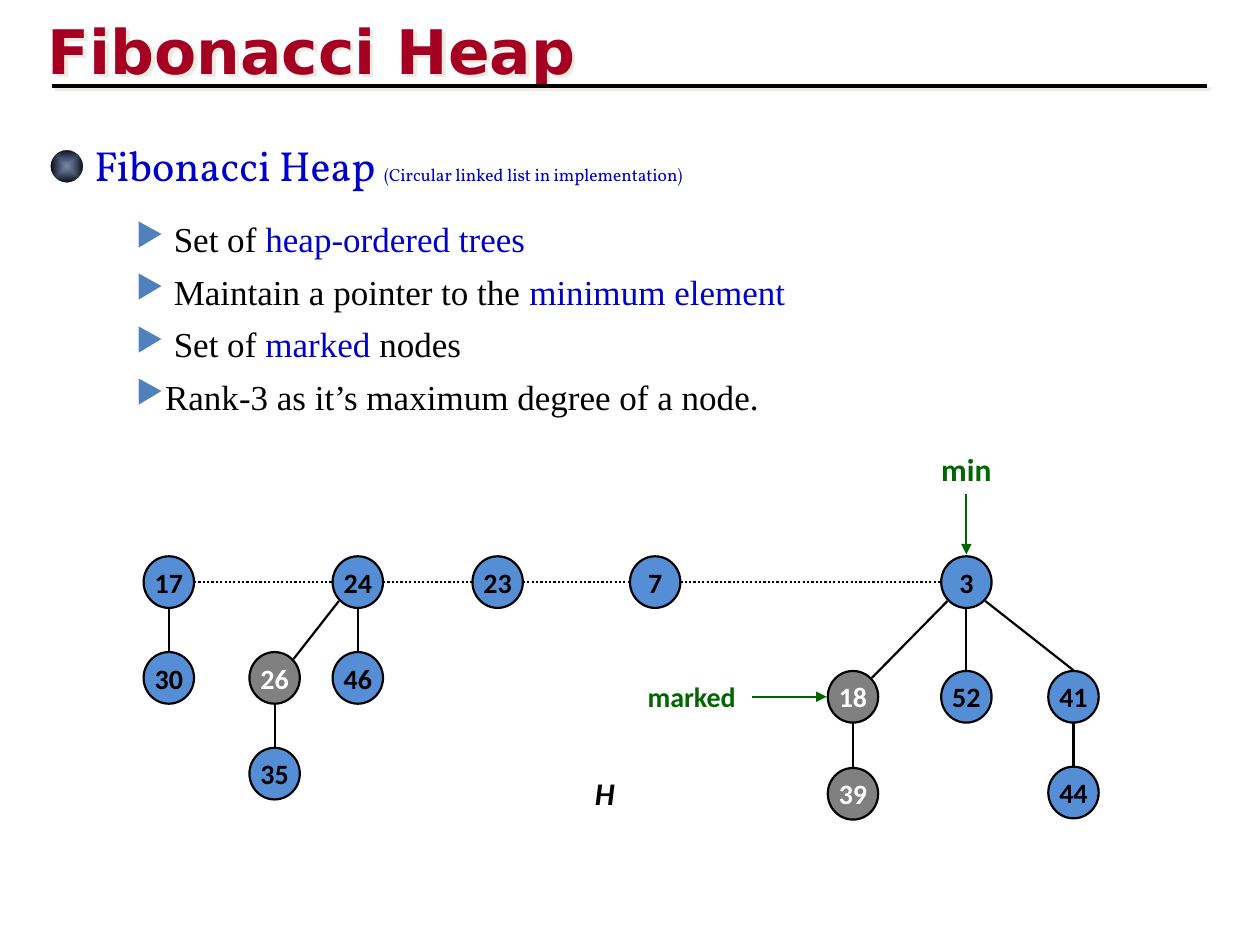
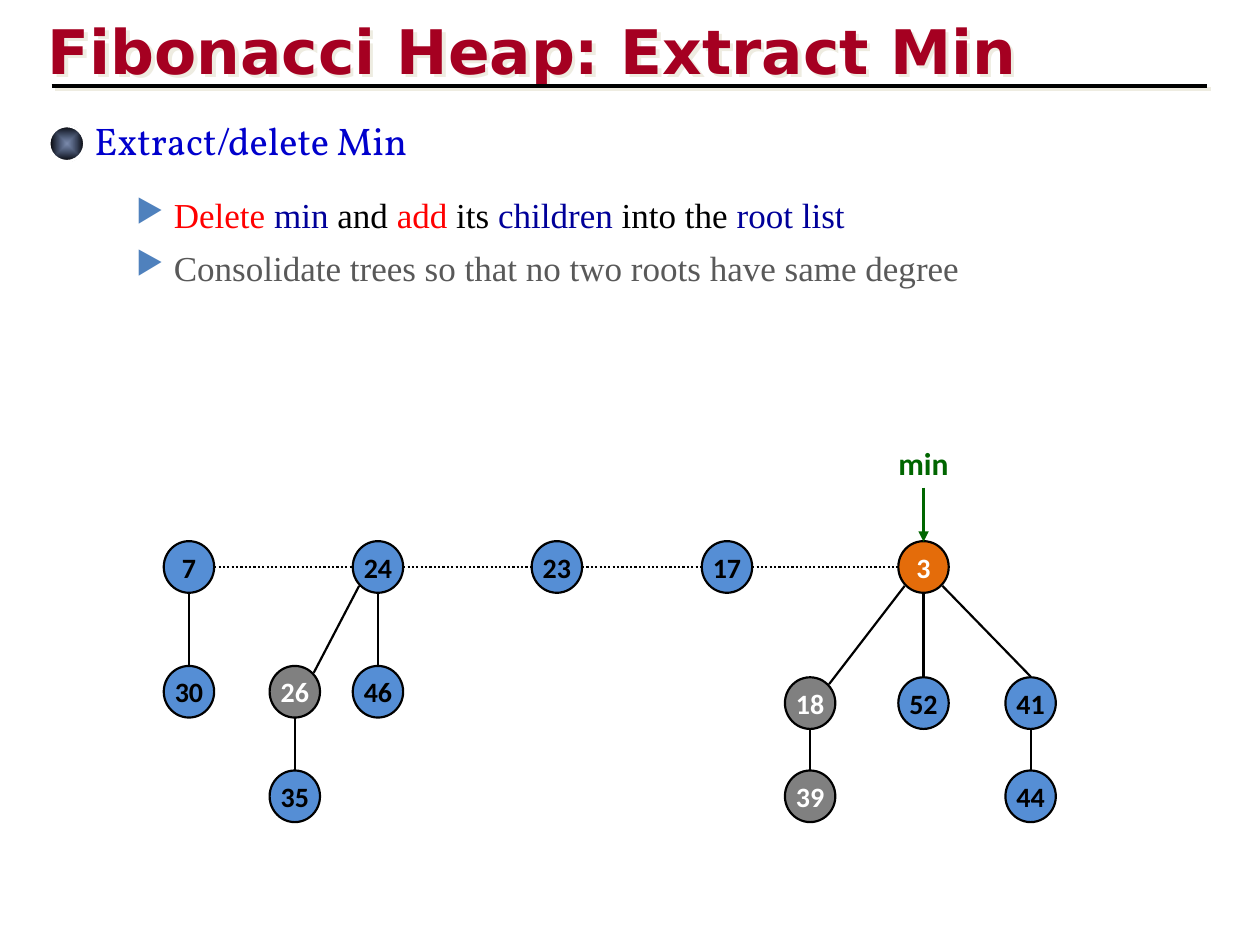
"""Build two slides that explain the Fibonacci heap and its extract-min step."""
from lxml import etree
from pptx import Presentation
from pptx.dml.color import RGBColor
from pptx.enum.dml import MSO_LINE
from pptx.enum.shapes import MSO_CONNECTOR, MSO_SHAPE
from pptx.enum.text import MSO_ANCHOR, MSO_AUTO_SIZE, PP_ALIGN
from pptx.oxml import parse_xml
from pptx.oxml.ns import nsdecls, qn
from pptx.util import Inches, Pt

ELLIPSE = MSO_SHAPE.OVAL
STRAIGHT = MSO_CONNECTOR.STRAIGHT
DOTTED = MSO_LINE.ROUND_DOT
TOP, MIDDLE = MSO_ANCHOR.TOP, MSO_ANCHOR.MIDDLE
LEFT, CENTER = PP_ALIGN.LEFT, PP_ALIGN.CENTER
NO_FIT = MSO_AUTO_SIZE.NONE

BLACK = RGBColor(0x00, 0x00, 0x00)
WHITE = RGBColor(0xFF, 0xFF, 0xFF)
CRIMSON = RGBColor(0xA5, 0x00, 0x21)
BLUE = RGBColor(0x00, 0x00, 0xCC)
NAVY = RGBColor(0x00, 0x00, 0x99)
RED = RGBColor(0xFF, 0x00, 0x00)
GREEN = RGBColor(0x00, 0x66, 0x00)
DIM = RGBColor(0x59, 0x59, 0x59)
NODE_BLUE = RGBColor(0x55, 0x8E, 0xD5)
MARKED_GRAY = RGBColor(0x80, 0x80, 0x80)
MIN_ORANGE = RGBColor(0xE4, 0x6C, 0x0A)
BULLET_COLOR = RGBColor(0x4F, 0x81, 0xBD)
SHADOW_COLOR = RGBColor(0xEE, 0xEC, 0xE1)

NODE_WIDTH, NODE_HEIGHT = 0.4, 0.41
HALF_WIDTH, HALF_HEIGHT = 0.2, 0.21
DIAGONAL = 0.15

BALL_GRADIENT = f"""<a:gradFill {nsdecls('a')} rotWithShape="1"><a:gsLst>
<a:gs pos="0"><a:srgbClr val="002060"><a:alpha val="51000"/></a:srgbClr></a:gs>
<a:gs pos="100000"><a:srgbClr val="000000"/></a:gs></a:gsLst>
<a:path path="shape"><a:fillToRect l="50000" t="50000" r="50000" b="50000"/></a:path>
</a:gradFill>"""

SLIDES = [
    {
        "title": "Fibonacci Heap",
        "heading_top": 1.06,
        "heading_size": 24,
        "heading": [("Fibonacci Heap ", BLUE), ("(Circular linked list in implementation)", BLUE, 10)],
        "points_top": 1.68,
        "points": [
            [(" Set of ", BLACK), ("heap-ordered trees", BLUE)],
            [(" Maintain a pointer to the ", BLACK), ("minimum element", BLUE)],
            [(" Set of ", BLACK), ("marked", BLUE), (" nodes", BLACK)],
            [("Rank-3 as it’s maximum degree of a node.", BLACK)],
        ],
        "roots": ["17", "24", "23", "7", "3"],
        "nodes": {
            "17": (1.34, 4.62), "24": (2.84, 4.62), "23": (3.95, 4.62),
            "7": (5.2, 4.62), "3": (7.67, 4.62),
            "30": (1.34, 5.38), "26": (2.18, 5.38), "46": (2.84, 5.38), "35": (2.18, 6.14),
            "18": (6.77, 5.53), "52": (7.67, 5.53), "41": (8.52, 5.53),
            "39": (6.77, 6.3), "44": (8.52, 6.29),
        },
        "parents": {"30": "17", "26": "24", "46": "24", "35": "26", "18": "3",
                    "52": "3", "41": "3", "39": "18", "44": "41"},
        "fills": {"26": MARKED_GRAY, "18": MARKED_GRAY, "39": MARKED_GRAY},
        "labels": [("min", 7.67, 3.72, 18, GREEN, False),
                   ("marked", 5.49, 5.53, 16, GREEN, False),
                   ("H", 4.8, 6.29, 18, BLACK, True)],
        "arrows": [((7.67, 3.92), (7.67, 4.4)), ((5.97, 5.53), (6.56, 5.53))],
    },
    {
        "title": "Fibonacci Heap: Extract Min",
        "heading_top": 0.88,
        "heading_size": 22,
        "heading": [("Extract/delete Min", BLUE)],
        "points_top": 1.49,
        "points": [
            [(" Delete ", RED), ("min", NAVY), (" and ", BLACK), ("add", RED), (" its ", BLACK),
             ("children", NAVY), (" into the ", BLACK), ("root list", NAVY)],
            [(" Consolidate trees so that no two roots have same degree", DIM)],
        ],
        "roots": ["7", "24", "23", "17", "3"],
        "nodes": {
            "7": (1.5, 4.5), "24": (3, 4.5), "23": (4.42, 4.5),
            "17": (5.77, 4.5), "3": (7.33, 4.5),
            "30": (1.5, 5.49), "26": (2.34, 5.49), "46": (3, 5.49), "35": (2.34, 6.32),
            "18": (6.43, 5.58), "52": (7.33, 5.58), "41": (8.18, 5.58),
            "39": (6.43, 6.32), "44": (8.18, 6.32),
        },
        "parents": {"30": "7", "26": "24", "46": "24", "35": "26", "18": "3",
                    "52": "3", "41": "3", "39": "18", "44": "41"},
        "fills": {"26": MARKED_GRAY, "18": MARKED_GRAY, "39": MARKED_GRAY, "3": MIN_ORANGE},
        "labels": [("min", 7.33, 3.67, 18, GREEN, False)],
        "arrows": [((7.33, 3.87), (7.33, 4.3))],
    },
]


def write_text(shape, paragraphs, font, size, bold=False, italic=False, align=LEFT,
               anchor=TOP, wrap=True, bullet=None):
    """Fill a shape with paragraphs of (text, colour[, size]) runs."""
    frame = shape.text_frame
    frame.auto_size = NO_FIT
    frame.word_wrap = wrap
    frame.vertical_anchor = anchor
    for index, runs in enumerate(paragraphs):
        paragraph = frame.paragraphs[0] if index == 0 else frame.add_paragraph()
        paragraph.alignment = align
        for text, color, *own_size in runs:
            run = paragraph.add_run()
            run.text = text
            run.font.name = font
            run.font.size = Pt(own_size[0] if own_size else size)
            run.font.bold = bold
            run.font.italic = italic
            run.font.color.rgb = color
        if bullet:
            paragraph.space_before = Pt(6)
            properties = paragraph._p.get_or_add_pPr()
            bullet_color = etree.SubElement(properties, qn("a:buClr"))
            etree.SubElement(bullet_color, qn("a:srgbClr"), val=str(BULLET_COLOR))
            etree.SubElement(properties, qn("a:buSzPct"), val="90000")
            etree.SubElement(properties, qn("a:buChar"), char=bullet)


def draw_line(slide, start, end, color=BLACK, width=1.25, dash=None, arrow=False):
    """Draw a straight connector between two points in inches."""
    line = slide.shapes.add_connector(STRAIGHT, *map(Inches, start + end))
    line.line.color.rgb = color
    line.line.width = Pt(width)
    if dash:
        line.line.dash_style = dash
    if arrow:
        etree.SubElement(line.line._get_or_add_ln(), qn("a:tailEnd"), type="triangle")
    etree.SubElement(line._element.spPr, qn("a:effectLst"))
    return line


presentation = Presentation()
presentation.slide_width = Inches(10)
presentation.slide_height = Inches(7.5)

for content in SLIDES:
    slide = presentation.slides.add_slide(presentation.slide_layouts[5])

    title = slide.shapes.title
    title.left, title.top = Inches(0.28), Inches(0.01)
    title.width, title.height = Inches(8.5), Inches(0.67)
    title.text_frame.margin_top = Inches(0.09)
    write_text(title, [[(content["title"], CRIMSON)]], "DejaVu Sans", 35.1, bold=True)
    title.shadow.inherit = False
    rule = draw_line(slide, (0.41, 0.68), (9.58, 0.68), width=2.25)
    for shadowed in (title, rule):
        effects = shadowed._element.spPr.find(qn("a:effectLst"))
        shadow = etree.SubElement(effects, qn("a:outerShdw"), dist=str(Pt(2.8)),
                                  dir="2700000", algn="ctr", rotWithShape="0")
        etree.SubElement(shadow, qn("a:srgbClr"), val=str(SHADOW_COLOR))

    heading_top = content["heading_top"]
    ball = slide.shapes.add_shape(ELLIPSE, Inches(0.39), Inches(heading_top + 0.12),
                                  Inches(0.28), Inches(0.28))
    ball.shadow.inherit = False
    ball.line.color.rgb = WHITE
    ball.line.width = Pt(1.5)
    ball.fill.background()
    ball_properties = ball._element.spPr
    ball_properties.replace(ball_properties.find(qn("a:noFill")), parse_xml(BALL_GRADIENT))
    heading = slide.shapes.add_textbox(Inches(0.65), Inches(heading_top), Inches(6.99), Inches(0.5))
    write_text(heading, [content["heading"]], "Vollkorn", content["heading_size"])

    points = slide.shapes.add_textbox(Inches(0.98), Inches(content["points_top"]), Inches(8.74),
                                      Inches(0.1 + 0.4 * len(content["points"])))
    write_text(points, content["points"], "Times New Roman", 20, bullet="▶")

    nodes = content["nodes"]
    for name, next_name in zip(content["roots"], content["roots"][1:]):
        (x, y), (next_x, next_y) = nodes[name], nodes[next_name]
        draw_line(slide, (x + HALF_WIDTH, y), (next_x - HALF_WIDTH, next_y), dash=DOTTED)

    for child, parent in content["parents"].items():
        (x, y), (parent_x, parent_y) = nodes[child], nodes[parent]
        start = (parent_x, parent_y + HALF_HEIGHT)
        end = (x, y - HALF_HEIGHT)
        if x < parent_x:
            start = (parent_x - DIAGONAL, parent_y + DIAGONAL)
            end = (x + DIAGONAL, y - DIAGONAL)
        elif x > parent_x:
            start = (parent_x + DIAGONAL, parent_y + DIAGONAL)
        draw_line(slide, start, end)

    for name, (x, y) in nodes.items():
        node = slide.shapes.add_shape(ELLIPSE, Inches(x - NODE_WIDTH / 2), Inches(y - NODE_HEIGHT / 2),
                                      Inches(NODE_WIDTH), Inches(NODE_HEIGHT))
        node.shadow.inherit = False
        node.fill.solid()
        node.fill.fore_color.rgb = content["fills"].get(name, NODE_BLUE)
        node.line.color.rgb = BLACK
        node.line.width = Pt(1.25)
        color = WHITE if name in content["fills"] else BLACK
        write_text(node, [[(name, color)]], "Calibri", 16, bold=True, align=CENTER,
                   anchor=MIDDLE, wrap=False)

    for text, x, y, size, color, italic in content["labels"]:
        label = slide.shapes.add_textbox(Inches(x - NODE_WIDTH / 2), Inches(y - NODE_HEIGHT / 2),
                                         Inches(NODE_WIDTH), Inches(NODE_HEIGHT))
        write_text(label, [[(text, color)]], "Calibri", size, bold=True, italic=italic,
                   align=CENTER, anchor=MIDDLE, wrap=False)

    for start, end in content["arrows"]:
        draw_line(slide, start, end, color=GREEN, arrow=True)

presentation.save("out.pptx")
